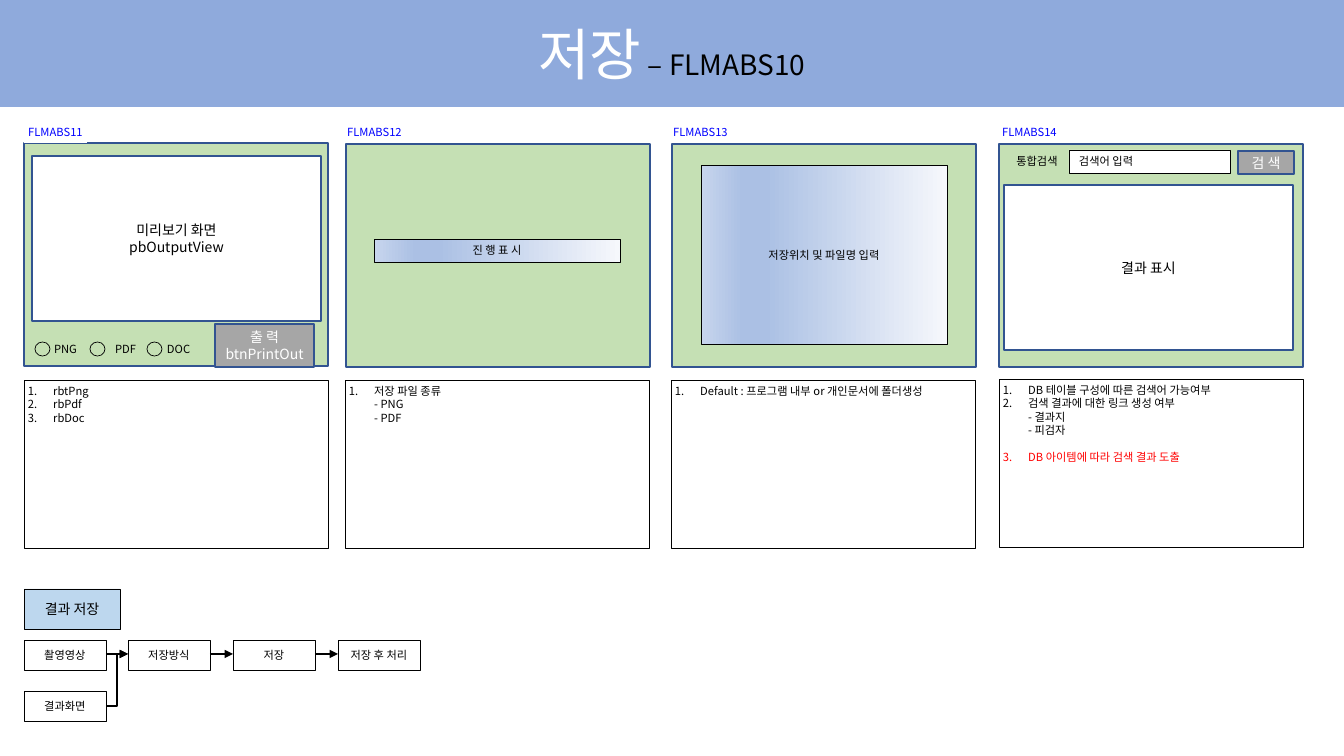
from dataclasses import dataclass
from typing import Optional

from lxml import etree
from pptx import Presentation
from pptx.dml.color import RGBColor
from pptx.enum.shapes import MSO_CONNECTOR, MSO_SHAPE
from pptx.enum.text import MSO_ANCHOR, MSO_AUTO_SIZE, PP_ALIGN
from pptx.oxml.ns import qn
from pptx.util import Emu, Inches, Pt

RECTANGLE, CIRCLE = MSO_SHAPE.RECTANGLE, MSO_SHAPE.FLOWCHART_CONNECTOR
STRAIGHT, ELBOW = MSO_CONNECTOR.STRAIGHT, MSO_CONNECTOR.ELBOW
LEFT, CENTER = PP_ALIGN.LEFT, PP_ALIGN.CENTER
TOP, MIDDLE = MSO_ANCHOR.TOP, MSO_ANCHOR.MIDDLE

FONT = "Noto Sans CJK KR"
BLACK = RGBColor(0x00, 0x00, 0x00)
WHITE = RGBColor(0xFF, 0xFF, 0xFF)
RED = RGBColor(0xFF, 0x00, 0x00)
LABEL_BLUE = RGBColor(0x00, 0x00, 0xFF)
HEADER_BLUE = RGBColor(0x8F, 0xAA, 0xDC)
OUTLINE_BLUE = RGBColor(0x32, 0x54, 0x91)
STAGE_BLUE = RGBColor(0xBD, 0xD7, 0xEE)
SCREEN_GREEN = RGBColor(0xC5, 0xE0, 0xB4)
BUTTON_GRAY = RGBColor(0xA6, 0xA6, 0xA6)
GRADIENT = [(0, "F6F8FC"), (74, "ABC0E4"), (83, "ABC0E4"), (100, "C7D5ED")]

PIXELS_PER_INCH = 100.8


def px(pixels: float) -> Emu:
    return Inches(pixels / PIXELS_PER_INCH)


@dataclass
class Box:
    left: int
    top: int
    width: int
    height: int
    text: str = ""
    fill: Optional[RGBColor] = None
    gradient: bool = False
    line: Optional[RGBColor] = None
    line_width: float = 1
    size: int = 8
    color: RGBColor = BLACK
    align: PP_ALIGN = CENTER
    anchor: MSO_ANCHOR = MIDDLE
    padding: int = 4
    kind: MSO_SHAPE = RECTANGLE


@dataclass
class Remark:
    text: str
    color: RGBColor = BLACK
    space_before: float = 0


@dataclass
class Panel:
    name: str
    label_left: int
    screen_left: int
    screen_top: int
    remarks_left: int
    remarks_top: int
    remarks: list[Remark]
    contents: list[Box]


def style_font(font, element, size: int, color: RGBColor) -> None:
    """Set size, colour and the Latin and East Asian typefaces."""
    font.size = Pt(size)
    font.color.rgb = color
    font.name = FONT
    etree.SubElement(element, qn("a:ea"), typeface=FONT)


def style_paragraph(paragraph, size: int, color: RGBColor, align: PP_ALIGN) -> None:
    paragraph.alignment = align
    font = paragraph.font
    style_font(font, paragraph._p.pPr.find(qn("a:defRPr")), size, color)


def fill_gradient(shape) -> None:
    shape.fill.gradient()
    shape.fill.gradient_angle = 180
    stops = shape._element.spPr.find(qn("a:gradFill")).find(qn("a:gsLst"))
    for stop in list(stops):
        stops.remove(stop)
    for position, color in GRADIENT:
        stop = etree.SubElement(stops, qn("a:gs"), pos=str(position * 1000))
        etree.SubElement(stop, qn("a:srgbClr"), val=color)


def add_box(slide, box: Box):
    shape = slide.shapes.add_shape(
        box.kind, px(box.left), px(box.top), px(box.width), px(box.height))
    shape.shadow.inherit = False
    if box.gradient:
        fill_gradient(shape)
    elif box.fill is None:
        shape.fill.background()
    else:
        shape.fill.solid()
        shape.fill.fore_color.rgb = box.fill
    if box.line is None:
        shape.line.fill.background()
    else:
        shape.line.color.rgb = box.line
        shape.line.width = Pt(box.line_width)
    frame = shape.text_frame
    frame.word_wrap = True
    frame.vertical_anchor = box.anchor
    frame.margin_left = frame.margin_right = px(box.padding)
    frame.margin_top = frame.margin_bottom = px(min(box.padding, 4))
    if box.text:
        frame.text = box.text
        for paragraph in frame.paragraphs:
            style_paragraph(paragraph, box.size, box.color, box.align)
    return shape


def add_remarks(slide, left: int, top: int, remarks: list[Remark]) -> None:
    """Draw a framed, numbered list."""
    shape = add_box(slide, Box(left, top, 304, 168, line=BLACK, line_width=0.25, anchor=TOP))
    frame = shape.text_frame
    for index, remark in enumerate(remarks):
        paragraph = frame.add_paragraph() if index else frame.paragraphs[0]
        paragraph.text = remark.text
        paragraph.space_before = Pt(remark.space_before)
        properties = paragraph._p.get_or_add_pPr()
        properties.set("marL", str(Inches(0.25)))
        properties.set("indent", str(-Inches(0.25)))
        etree.SubElement(properties, qn("a:buFont"), typeface="+mj-lt")
        etree.SubElement(properties, qn("a:buAutoNum"), type="arabicPeriod")
        style_paragraph(paragraph, 8, remark.color, LEFT)


def add_panel(slide, panel: Panel) -> None:
    add_box(slide, Box(panel.screen_left, panel.screen_top, 304, 223,
                       fill=SCREEN_GREEN, line=OUTLINE_BLUE))
    add_box(slide, Box(panel.label_left, 121, 63, 22, panel.name,
                       fill=WHITE, color=LABEL_BLUE, padding=0))
    for box in panel.contents:
        add_box(slide, box)
    add_remarks(slide, panel.remarks_left, panel.remarks_top, panel.remarks)


def add_arrow(slide, kind: MSO_CONNECTOR, start: tuple[int, int], end: tuple[int, int]) -> None:
    connector = slide.shapes.add_connector(kind, *map(px, start + end))
    connector.line.color.rgb = BLACK
    connector.line.width = Pt(1)
    properties = connector._element.spPr
    etree.SubElement(properties.find(qn("a:ln")), qn("a:tailEnd"), type="triangle")
    etree.SubElement(properties, qn("a:effectLst"))


def add_header(slide) -> None:
    title = slide.shapes.title
    title.left, title.top, title.width, title.height = px(0), px(0), px(1344), px(107)
    title.fill.solid()
    title.fill.fore_color.rgb = HEADER_BLUE
    frame = title.text_frame
    frame.auto_size = MSO_AUTO_SIZE.NONE
    frame.vertical_anchor = MIDDLE
    paragraph = frame.paragraphs[0]
    paragraph.alignment = CENTER
    for text, size, color in [("저장", 40, WHITE), (" – FLMABS10", 20, BLACK)]:
        run = paragraph.add_run()
        run.text = text
        style_font(run.font, run._r.get_or_add_rPr(), size, color)


def view(left: int, top: int, text: str) -> Box:
    return Box(left, top, 289, 165, text, fill=WHITE, line=OUTLINE_BLUE, size=10)


def button(left: int, top: int, width: int, height: int, text: str) -> Box:
    return Box(left, top, width, height, text, fill=BUTTON_GRAY,
               line=OUTLINE_BLUE, size=10, color=WHITE)


def dialog(left: int, top: int, height: int, text: str) -> Box:
    return Box(left, top, 246, height, text, gradient=True, line=BLACK, line_width=0.5)


# Screen contents
radio_buttons = [Box(left, 342, 15, 14, line=BLACK, line_width=0.5, kind=CIRCLE)
                 for left in (35, 90, 147)]
radio_labels = [Box(left, 338, 36, 23, text, align=LEFT)
                for left, text in ((50, "PNG"), (111, "PDF"), (163, "DOC"))]
preview = [view(32, 156, "미리보기 화면\npbOutputView"),
           button(215, 324, 99, 43, "출 력\nbtnPrintOut"), *radio_buttons, *radio_labels]
search = [view(1004, 185, "결과 표시"),
          Box(1069, 150, 161, 23, "검색어 입력", fill=WHITE, line=BLACK,
              line_width=0.5, align=LEFT, padding=10),
          button(1238, 151, 56, 23, "검 색"),
          Box(1004, 150, 66, 23, "통합검색")]

PANELS = [
    Panel("FLMABS11", 24, 24, 143, 24, 380,
          [Remark("rbtPng"), Remark("rbPdf"), Remark("rbDoc")], preview),
    Panel("FLMABS12", 343, 346, 144, 345, 380,
          [Remark("저장 파일 종류\v- PNG\v- PDF")], [dialog(374, 239, 23, "진 행 표 시")]),
    Panel("FLMABS13", 669, 672, 144, 671, 380,
          [Remark("Default : 프로그램 내부 or 개인문서에 폴더생성")],
          [dialog(701, 165, 179, "저장위치 및 파일명 입력")]),
    Panel("FLMABS14", 998, 999, 144, 999, 379,
          [Remark("DB 테이블 구성에 따른 검색어 가능여부"),
           Remark("검색 결과에 대한 링크 생성 여부\v- 결과지\v- 피검자"),
           Remark("DB 아이템에 따라 검색 결과 도출", RED, 9.5)], search),
]
STEPS = [(24, 640, "촬영영상"), (128, 640, "저장방식"), (233, 640, "저장"),
         (338, 640, "저장 후 처리"), (24, 691, "결과화면")]
STEP_WIDTH, FLOW_Y = 82, 654

presentation = Presentation()
presentation.slide_width, presentation.slide_height = px(1344), px(756)
slide = presentation.slides.add_slide(presentation.slide_layouts[5])

add_header(slide)
for panel in PANELS:
    add_panel(slide, panel)

# Save flow
add_box(slide, Box(24, 589, 96, 40, "결과 저장", fill=STAGE_BLUE, line=BLACK,
                   line_width=0.25, size=10))
for left, top, text in STEPS:
    add_box(slide, Box(left, top, STEP_WIDTH, 30, text, line=BLACK, line_width=0.25))
for step, following in zip(STEPS[:3], STEPS[1:4]):
    add_arrow(slide, STRAIGHT, (step[0] + STEP_WIDTH, FLOW_Y), (following[0], FLOW_Y))
add_arrow(slide, ELBOW, (106, 706), (128, FLOW_Y))

presentation.save("out.pptx")
